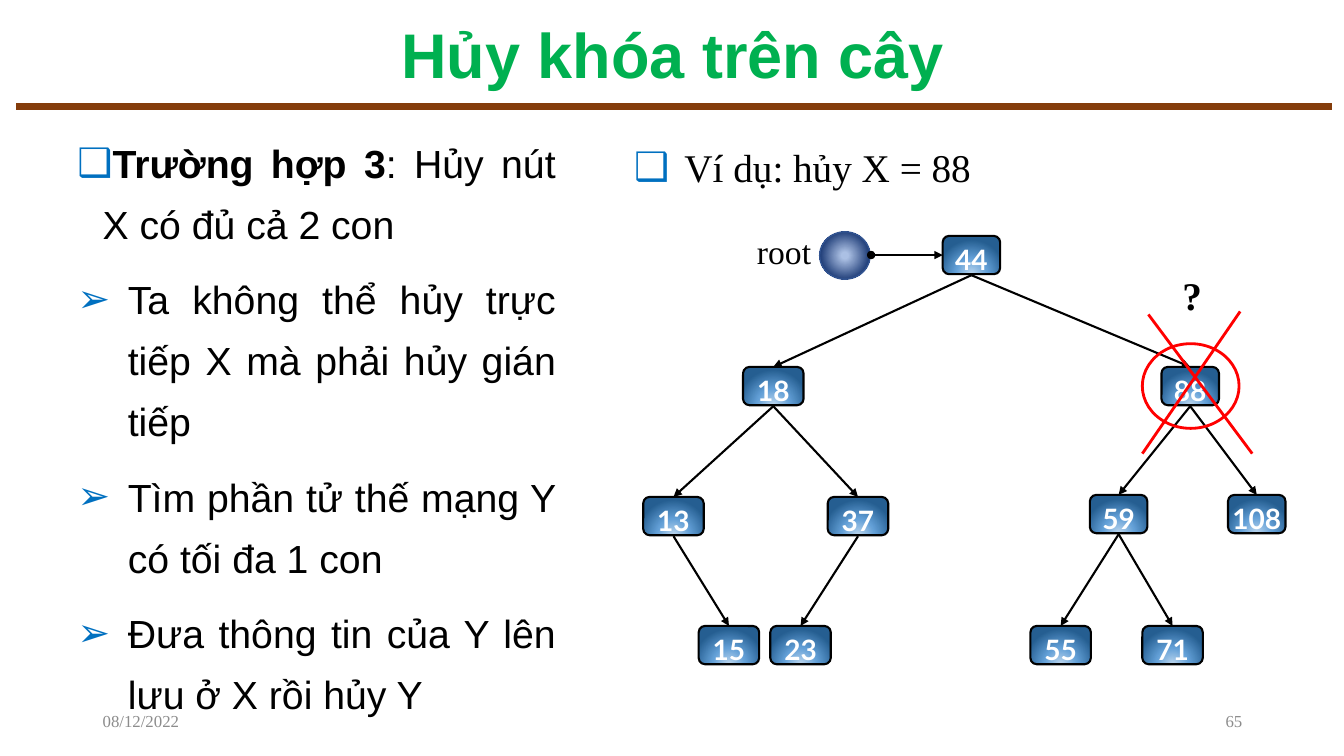
from lxml.etree import SubElement
from pptx import Presentation
from pptx.dml.color import RGBColor
from pptx.enum.shapes import MSO_CONNECTOR, MSO_SHAPE
from pptx.enum.text import MSO_ANCHOR, PP_ALIGN
from pptx.oxml import parse_xml
from pptx.oxml.ns import nsdecls, qn
from pptx.util import Inches, Pt

BLACK = RGBColor(0x00, 0x00, 0x00)
WHITE = RGBColor(0xFF, 0xFF, 0xFF)
GREEN = RGBColor(0x00, 0xB0, 0x50)
BROWN = RGBColor(0x84, 0x3C, 0x0B)
GRAY = RGBColor(0x8C, 0x8C, 0x8C)
RED = RGBColor(0xFF, 0x00, 0x00)
BULLET_BLUE = RGBColor(0x00, 0x70, 0xC0)
POINTER_BLUE = RGBColor(0x32, 0x54, 0x91)
SANS, SERIF, NODE_FONT = "Arial", "Times New Roman", "Lato"

TITLE = "Hủy khóa trên cây"
CASE = [("Trường hợp 3", True), (": Hủy nút X có đủ cả 2 con", False)]
STEPS = [
    "Ta không thể hủy trực tiếp X mà phải hủy gián tiếp",
    "Tìm phần tử thế mạng Y có tối đa 1 con",
    "Đưa thông tin của Y lên lưu ở X rồi hủy Y",
]
EXAMPLE = "Ví dụ: hủy X = 88"
DATE, PAGE = "08/12/2022", "65"
CASE_SPACING, EXAMPLE_SPACING = 1.3, 1.4

# key: (left, top, width)
NODES = {
    44: (9.35, 2.34, 0.57),
    18: (7.37, 3.64, 0.6), 88: (11.52, 3.64, 0.57),
    13: (6.38, 4.93, 0.6), 37: (8.21, 4.93, 0.6),
    59: (10.81, 4.91, 0.57), 108: (12.18, 4.91, 0.57),
    15: (6.93, 6.21, 0.6), 23: (7.64, 6.21, 0.6),
    55: (10.22, 6.21, 0.6), 71: (11.33, 6.21, 0.6),
}
CHILDREN = {44: (18, 88), 18: (13, 37), 88: (59, 108),
            13: (15,), 37: (23,), 59: (55, 71)}
NODE_HEIGHT = 0.38
CROSS = [((11.39, 3.12), (12.42, 4.5)), ((12.3, 3.09), (11.33, 4.5))]

# stops as (percent, colour), then the focus rectangle: left, top, right, bottom
NODE_GRADIENT = ([(0, "BDD7EE"), (46, "63A0D7"), (100, "255E91")], (50, 130, 50, -30))
POINTER_GRADIENT = ([(10, "ABC0E4"), (85, "002060"), (100, "ABC0E4")], (50, 50, 50, 50))

presentation = Presentation()
presentation.slide_width = Inches(13.33)
presentation.slide_height = Inches(7.5)
slide = presentation.slides.add_slide(presentation.slide_layouts[6])


def add_run(paragraph, text, size, font, color=BLACK, bold=False):
    """Add one formatted run to a paragraph."""
    run = paragraph.add_run()
    run.text = text
    run.font.size = Pt(size)
    run.font.name = font
    run.font.bold = bold
    run.font.color.rgb = color


def add_text_frame(box, anchor=MSO_ANCHOR.TOP, wrap=True):
    """Add a text box at (left, top, width, height) and return its frame."""
    frame = slide.shapes.add_textbox(*map(Inches, box)).text_frame
    frame.word_wrap = wrap
    frame.vertical_anchor = anchor
    return frame


def add_label(box, text, size, font, color=BLACK, bold=False,
              align=PP_ALIGN.LEFT, anchor=MSO_ANCHOR.TOP, wrap=True):
    """Add a text box with a single run and return its paragraph."""
    paragraph = add_text_frame(box, anchor, wrap).paragraphs[0]
    paragraph.alignment = align
    add_run(paragraph, text, size, font, color, bold)
    return paragraph


def set_bullet(paragraph, mark, indent, spacing, level=0):
    """Give a justified paragraph a blue bullet with a hanging indent."""
    paragraph.level = level
    paragraph.alignment = PP_ALIGN.JUSTIFY
    paragraph.line_spacing = spacing
    paragraph.space_before = Pt(10)
    properties = paragraph._p.get_or_add_pPr()
    properties.set("marL", str(Inches(indent)))
    properties.set("indent", str(-Inches(indent)))
    color = SubElement(properties, qn("a:buClr"))
    SubElement(color, qn("a:srgbClr")).set("val", str(BULLET_BLUE))
    SubElement(properties, qn("a:buFont")).set("typeface", SANS)
    SubElement(properties, qn("a:buChar")).set("char", mark)


def add_line(start, end, color=BLACK, width=1.5, head=None, tail=None):
    """Add a straight line with optional ends and no shadow."""
    line = slide.shapes.add_connector(
        MSO_CONNECTOR.STRAIGHT, *map(Inches, (*start, *end)))
    line.line.color.rgb = color
    line.line.width = Pt(width)
    outline = line.line._get_or_add_ln()
    for tag, kind in (("a:headEnd", head), ("a:tailEnd", tail)):
        if kind:
            SubElement(outline, qn(tag)).set("type", kind)
    SubElement(line._element.spPr, qn("a:effectLst"))


def add_outlined(kind, box, color, width, gradient=None):
    """Add a preset shape with an outline and an optional radial gradient."""
    shape = slide.shapes.add_shape(kind, *map(Inches, box))
    shape.shadow.inherit = False
    shape.line.color.rgb = color
    shape.line.width = Pt(width)
    if gradient is None:
        shape.fill.background()
        return shape
    stops, focus = gradient
    stop_xml = "".join(
        f'<a:gs pos="{place * 1000}"><a:srgbClr val="{value}"/></a:gs>'
        for place, value in stops)
    focus_xml = " ".join(
        f'{side}="{value * 1000}"' for side, value in zip("ltrb", focus))
    shape.fill.solid()
    properties = shape._element.spPr
    properties.replace(properties.find(qn("a:solidFill")), parse_xml(
        f'<a:gradFill {nsdecls("a")} rotWithShape="1"><a:gsLst>{stop_xml}</a:gsLst>'
        f'<a:path path="circle"><a:fillToRect {focus_xml}/></a:path></a:gradFill>'))
    return shape


def add_node(key):
    """Add one tree node with its key."""
    left, top, width = NODES[key]
    node = add_outlined(MSO_SHAPE.ROUNDED_RECTANGLE,
                        (left, top, width, NODE_HEIGHT), BLACK, 1.5, NODE_GRADIENT)
    frame = node.text_frame
    frame.margin_left = frame.margin_right = frame.margin_top = frame.margin_bottom = 0
    frame.vertical_anchor = MSO_ANCHOR.TOP
    paragraph = frame.paragraphs[0]
    paragraph.alignment = PP_ALIGN.CENTER
    paragraph.line_spacing = 1.13
    add_run(paragraph, str(key), 20, NODE_FONT, WHITE, True)


def add_edge(parent, child):
    """Draw an arrow from the foot of a parent to the top of its child."""
    (left, top, width), (child_left, child_top, child_width) = NODES[parent], NODES[child]
    add_line((left + width / 2, top + NODE_HEIGHT + 0.01),
             (child_left + child_width / 2, child_top), tail="triangle")


# Heading and footer
add_line((0.16, 1.06), (13.21, 1.06), BROWN, 5)
title = add_label((0.92, 0.17, 11.5, 0.81), TITLE, 45, SANS, GREEN, True,
                  PP_ALIGN.CENTER, MSO_ANCHOR.MIDDLE)
title.line_spacing = 0.9
add_label((0.92, 6.95, 3, 0.4), DATE, 12, SERIF, GRAY, anchor=MSO_ANCHOR.MIDDLE)
add_label((9.42, 6.95, 3, 0.4), PAGE, 12, SERIF, GRAY,
          align=PP_ALIGN.RIGHT, anchor=MSO_ANCHOR.MIDDLE)

# Explanation
explanation = add_text_frame((0.67, 1.19, 4.94, 5.91))
case_paragraph = explanation.paragraphs[0]
set_bullet(case_paragraph, "❑", 0.25, CASE_SPACING)
for text, bold in CASE:
    add_run(case_paragraph, text, 28, SANS, bold=bold)
for step in STEPS:
    step_paragraph = explanation.add_paragraph()
    set_bullet(step_paragraph, "➢", 0.5, CASE_SPACING, level=1)
    add_run(step_paragraph, step, 28, SANS)

# Example tree
example = add_label((6.19, 1.19, 5.96, 0.93), EXAMPLE, 28, SERIF)
set_bullet(example, "❑", 0.5, EXAMPLE_SPACING, level=1)
for parent, children in CHILDREN.items():
    for child in children:
        add_edge(parent, child)
for key in NODES:
    add_node(key)
add_outlined(MSO_SHAPE.OVAL, (8.13, 2.3, 0.5, 0.47), POINTER_BLUE, 1, POINTER_GRADIENT)
add_label((7.41, 2.24, 0.74, 0.5), "root", 24, SERIF, wrap=False)
add_line((8.64, 2.53), (9.35, 2.53), head="oval", tail="triangle")

# Deleted node
add_outlined(MSO_SHAPE.OVAL, (11.33, 3.41, 0.96, 0.84), RED, 2)
for start, end in CROSS:
    add_line(start, end, RED, 2)
add_label((11.63, 2.64, 0.37, 0.57), "?", 28, SERIF, bold=True)

presentation.save("out.pptx")
